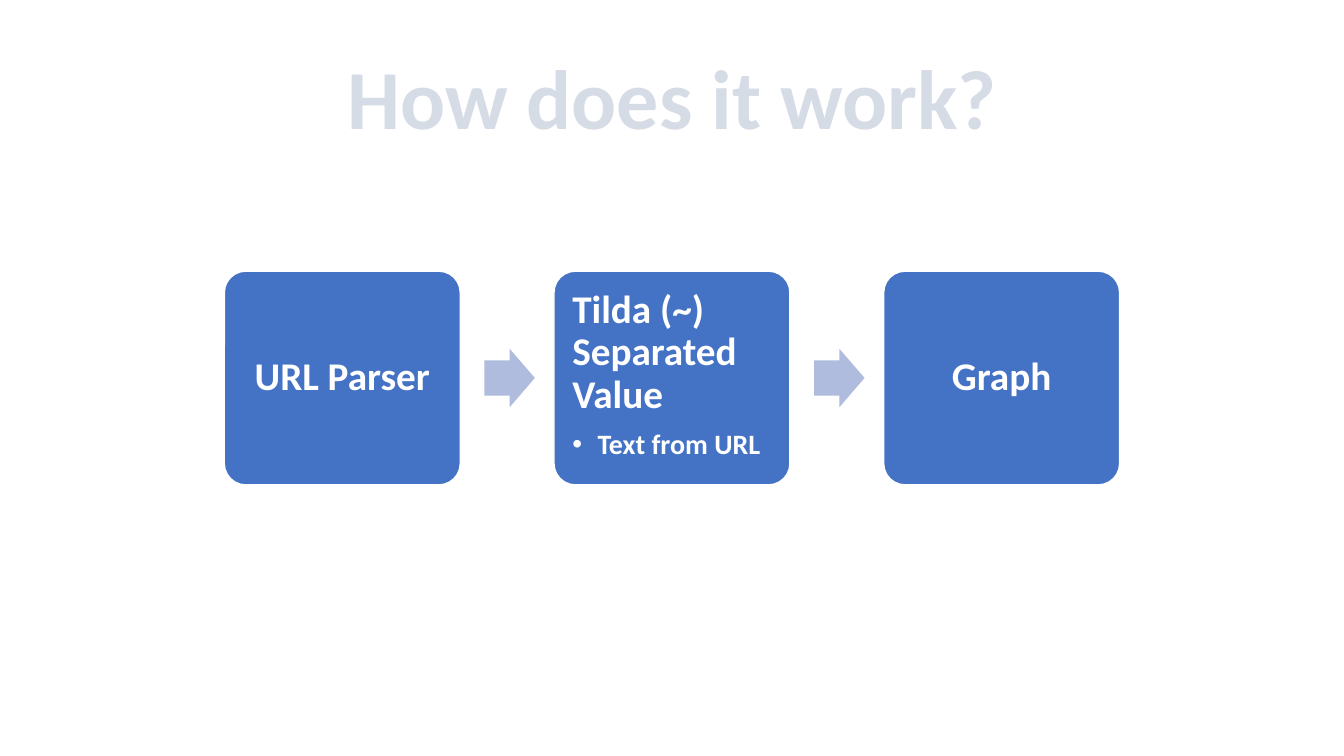
from lxml.etree import SubElement
from pptx import Presentation
from pptx.dml.color import RGBColor
from pptx.enum.shapes import MSO_SHAPE as SHAPE
from pptx.enum.text import MSO_ANCHOR as ANCHOR, PP_ALIGN as ALIGN
from pptx.oxml.ns import qn
from pptx.util import Inches, Pt

SLIDE_W, SLIDE_H = 13.33, 7.5
STEP_W, STEP_PITCH = 2.34, 3.27
ARROW_W, ARROW_H, ARROW_GAP = 0.5, 0.58, 0.24
STEPS = [("URL Parser", []),
         ("Tilda (~) Separated Value", ["Text from URL"]),
         ("Graph", [])]


def color(value):
    return RGBColor.from_string(value)


def add_text(p, text, size, fill="FFFFFF", align=ALIGN.LEFT, spacing=None, after=None, bullet=False):
    if bullet:
        pPr = p._p.get_or_add_pPr()
        pPr.set("marL", str(Inches(0.25)))
        pPr.set("indent", str(Inches(-0.25)))
        SubElement(pPr, qn("a:buFont")).set("typeface", "Arial")
        SubElement(pPr, qn("a:buChar")).set("char", "•")
    p.alignment = align
    p.line_spacing = spacing
    if after is not None:
        p.space_after = Pt(after)
    r = p.add_run()
    r.text = text
    r.font.name = "Calibri"
    r.font.size = Pt(size)
    r.font.bold = True
    r.font.color.rgb = color(fill)


def add_block(slide, kind, box, fill, adjustments, line=None):
    sp = slide.shapes.add_shape(kind, *map(Inches, box))
    sp.shadow.inherit = False
    sp.fill.solid()
    sp.fill.fore_color.rgb = color(fill)
    if line:
        sp.line.color.rgb = color(line)
        sp.line.width = Pt(1)
    else:
        sp.line.fill.background()
    for i, value in enumerate(adjustments):
        sp.adjustments[i] = value
    return sp


def add_title(slide, text, box):
    tf = slide.shapes.add_textbox(*map(Inches, box)).text_frame
    tf.word_wrap = True
    add_text(tf.paragraphs[0], text, 60, fill="D6DCE5", align=ALIGN.CENTER)


def add_step(slide, heading, bullets, box):
    sp = add_block(slide, SHAPE.ROUNDED_RECTANGLE, box, "4472C4", [0.1], line="FFFFFF")
    tf = sp.text_frame
    tf.word_wrap = True
    tf.margin_left = tf.margin_right = tf.margin_top = tf.margin_bottom = Inches(0.12)
    tf.vertical_anchor = ANCHOR.TOP if bullets else ANCHOR.MIDDLE
    align = ALIGN.LEFT if bullets else ALIGN.CENTER
    add_text(tf.paragraphs[0], heading, 28, align=align, spacing=0.9, after=10)
    for text in bullets:
        add_text(tf.add_paragraph(), text, 20, spacing=0.9, after=3, bullet=True)


def add_process(slide, steps, box):
    left, top, width, height = box
    x = left + (width - STEP_PITCH * (len(steps) - 1) - STEP_W) / 2
    for i, (heading, bullets) in enumerate(steps):
        if i:
            arrow = (x - STEP_PITCH + STEP_W + ARROW_GAP, top + (height - ARROW_H) / 2, ARROW_W, ARROW_H)
            add_block(slide, SHAPE.RIGHT_ARROW, arrow, "B0BCDE", [0.6, 0.5])
        add_step(slide, heading, bullets, (x, top, STEP_W, height))
        x += STEP_PITCH


def main():
    prs = Presentation()
    prs.slide_width, prs.slide_height = Inches(SLIDE_W), Inches(SLIDE_H)
    slide = prs.slides.add_slide(prs.slide_layouts[6])
    add_title(slide, "How does it work?", (0.65, 0.4, SLIDE_W - 1.3, 1.11))
    add_process(slide, STEPS, (0, (SLIDE_H - 2.12) / 2, SLIDE_W, 2.12))
    prs.save("out.pptx")


if __name__ == "__main__":
    main()
